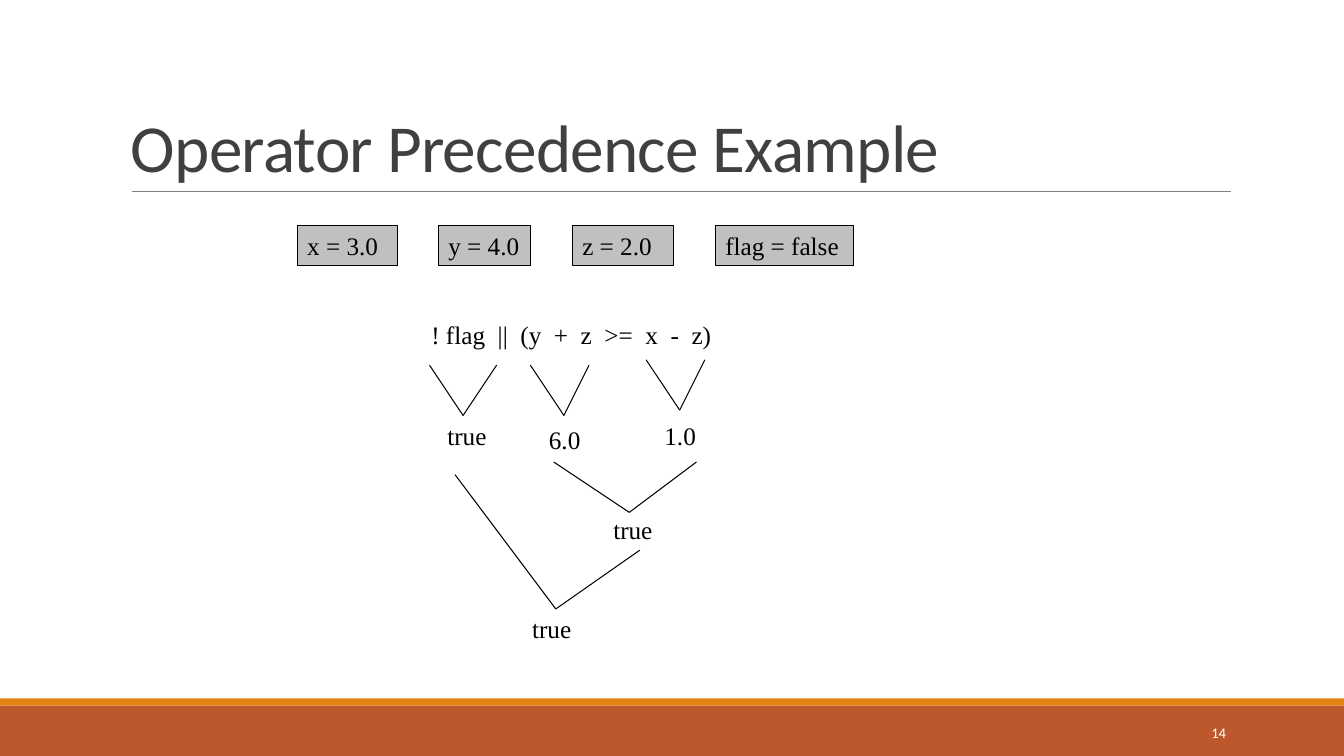
from lxml import etree
from pptx import Presentation
from pptx.dml.color import RGBColor
from pptx.enum.shapes import MSO_CONNECTOR, MSO_SHAPE
from pptx.enum.text import MSO_ANCHOR, MSO_AUTO_SIZE, PP_ALIGN
from pptx.oxml.ns import qn
from pptx.util import Pt

STRAIGHT = MSO_CONNECTOR.STRAIGHT
RECTANGLE = MSO_SHAPE.RECTANGLE
TOP, MIDDLE, BOTTOM = MSO_ANCHOR.TOP, MSO_ANCHOR.MIDDLE, MSO_ANCHOR.BOTTOM
LEFT, RIGHT = PP_ALIGN.LEFT, PP_ALIGN.RIGHT
GROW = MSO_AUTO_SIZE.SHAPE_TO_FIT_TEXT
FIXED = MSO_AUTO_SIZE.NONE

BLACK = RGBColor(0x00, 0x00, 0x00)
WHITE = RGBColor(0xFF, 0xFF, 0xFF)
SILVER = RGBColor(0xC0, 0xC0, 0xC0)
GRAY = RGBColor(0x80, 0x80, 0x80)
CHARCOAL = RGBColor(0x40, 0x40, 0x40)
RUST = RGBColor(0xBD, 0x58, 0x2C)
ORANGE = RGBColor(0xE4, 0x83, 0x12)

VARIABLES = [
    ("x = 3.0", 212.4, 71.5),
    ("y = 4.0", 313.2, 66),
    ("z = 2.0", 408.8, 72.3),
    ("flag = false", 511, 98.8),
]
RESULTS = [
    ("true", 312.5, 296.6, 66),
    ("6.0", 385, 299.6, 48),
    ("1.0", 467.5, 296.6, 54),
    ("true", 431, 363.6, 72),
    ("true", 373, 434.6, 90),
]
BRANCHES = [
    [(306.8, 260.8), (330.8, 296.8), (354.8, 260.8)],
    [(378.8, 260.8), (402.8, 296.8), (420.8, 260.8)],
    [(461.5, 257), (485.5, 293), (503.5, 257)],
    [(395.5, 330), (449.5, 366), (497.5, 330)],
    [(325, 339), (397, 435), (457, 393)],
]


def write_text(box, text, size=18, font="Times New Roman", color=BLACK, align=LEFT,
               anchor=TOP, fit=GROW, line_spacing=1.0, tracking=None):
    """Put one formatted paragraph into a box."""
    frame = box.text_frame
    frame.word_wrap = True
    frame.auto_size = fit
    frame.vertical_anchor = anchor
    para = frame.paragraphs[0]
    para.alignment = align
    para.line_spacing = line_spacing
    span = para.add_run()
    span.text = text
    span.font.size = Pt(size)
    span.font.name = font
    span.font.color.rgb = color
    if tracking is not None:
        span.font._element.set("spc", str(round(tracking * 100)))


def add_label(page, text, left, top, width, height, **text_format):
    """Add a text box."""
    box = page.shapes.add_textbox(Pt(left), Pt(top), Pt(width), Pt(height))
    write_text(box, text, **text_format)


def add_block(page, left, top, width, height, fill, outline=None):
    """Add a flat rectangle and return it."""
    block = page.shapes.add_shape(RECTANGLE, Pt(left), Pt(top), Pt(width), Pt(height))
    block.shadow.inherit = False
    block.fill.solid()
    block.fill.fore_color.rgb = fill
    if outline is None:
        block.line.fill.background()
    else:
        block.line.color.rgb = outline
        block.line.width = Pt(0.75)
    return block


def add_line(shapes, start, end, color=BLACK, width=0.75):
    """Add a straight line without shadow."""
    points = [Pt(value) for value in (*start, *end)]
    line = shapes.add_connector(STRAIGHT, *points)
    line.line.color.rgb = color
    line.line.width = Pt(width)
    etree.SubElement(line._element.spPr, qn("a:effectLst"))


def add_branch(page, left_end, joint, right_end):
    """Add a grouped pair of lines that meet at a joint."""
    group = page.shapes.add_group_shape()
    add_line(group.shapes, left_end, joint)
    add_line(group.shapes, joint, right_end)


def main():
    """Build and save the slide."""
    deck = Presentation()
    deck.slide_width, deck.slide_height = Pt(960), Pt(540)
    page = deck.slides.add_slide(deck.slide_layouts[6])

    add_block(page, 0, 504, 960, 36, RUST)
    add_block(page, 0, 498.8, 960, 5.2, ORANGE)
    add_line(page.shapes, (94, 136.7), (879, 136.7), color=GRAY, width=0.5)
    add_label(page, "Operator Precedence Example", 86.4, 22.6, 792, 114.2, size=48,
              font="Calibri", color=CHARCOAL, anchor=BOTTOM, fit=FIXED,
              line_spacing=0.85, tracking=-0.5)
    add_label(page, "14", 779.6, 508.6, 103.3, 28.8, size=10.5, font="Calibri",
              color=WHITE, align=RIGHT, anchor=MIDDLE, fit=FIXED)

    for text, left, width in VARIABLES:
        write_text(add_block(page, left, 161, width, 29, SILVER, BLACK), text)
    add_label(page, "! flag  ||  (y  +  z  >=  x  -  z)", 301, 224.6, 300, 29)
    for branch in BRANCHES:
        add_branch(page, *branch)
    for text, left, top, width in RESULTS:
        add_label(page, text, left, top, width, 36)

    deck.save("out.pptx")


if __name__ == "__main__":
    main()
